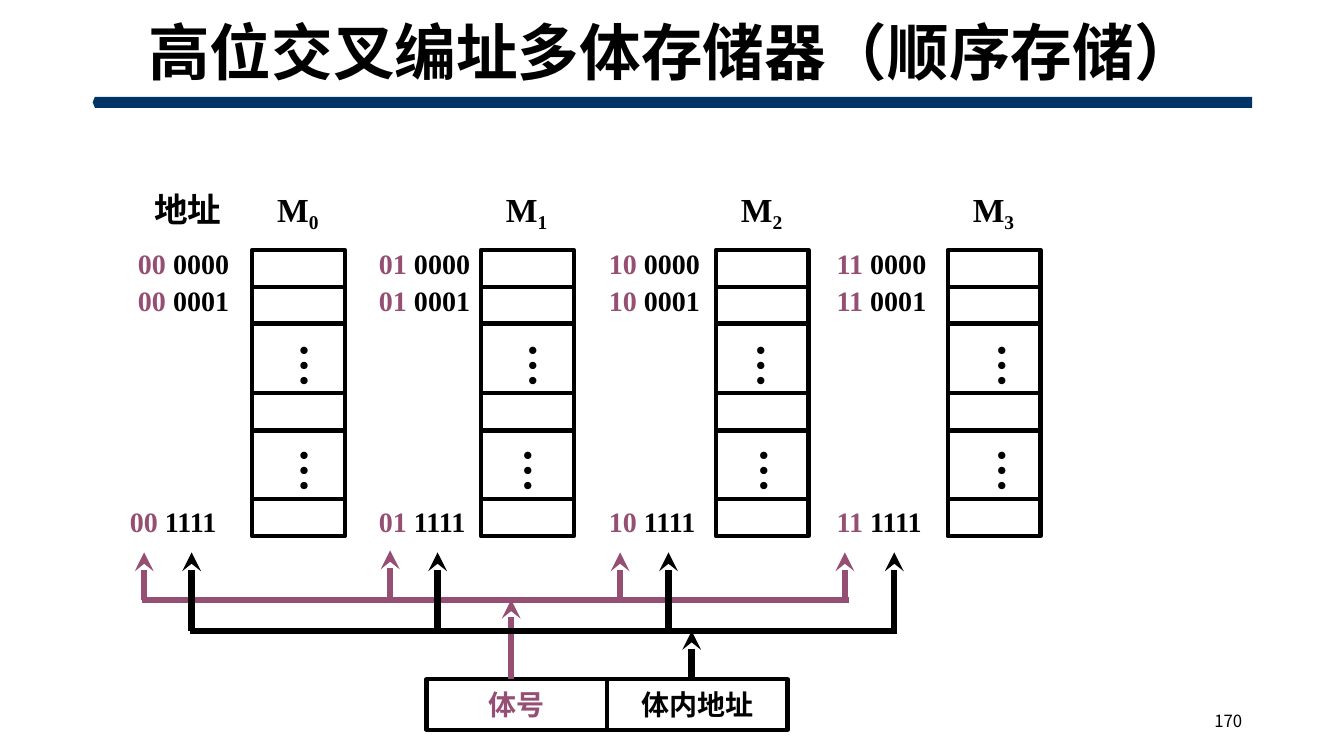
from collections import namedtuple
from dataclasses import dataclass

from lxml.etree import SubElement
from pptx import Presentation
from pptx.dml.color import RGBColor
from pptx.enum.shapes import MSO_CONNECTOR as Line, MSO_SHAPE as Shape
from pptx.enum.text import MSO_ANCHOR as Anchor, MSO_AUTO_SIZE as AutoSize, PP_ALIGN as Align
from pptx.oxml.ns import qn
from pptx.util import Pt

PX = 9144
Box = namedtuple("Box", "left top width height")
Bank = namedtuple("Bank", "tag left labels last_label dots number_tip offset_tip")


@dataclass(frozen=True)
class Theme:
    """Colours, fonts and sizes in points."""
    ink: str = "000000"
    accent: str = "954F72"
    bar: str = "003366"
    latin: str = "Times New Roman"
    cjk: str = "Noto Sans CJK SC"
    title: int = 44
    dots: int = 32
    heading: int = 24
    label: int = 20
    page: int = 12
    border: float = 3
    bus: float = 4.5


THEME = Theme()
ROW_HEIGHTS = (37, 36, 69, 37, 68, 37)
ADDRESSES = (("0000", -8), ("0001", 28), ("1111", 248))
BANKS = (
    Bank("00", 250, 127, 119, (275, 275), (143, 548), 190),
    Bank("01", 477, 366, 366, (502, 497), (387, 546), 434),
    Bank("10", 710, 594, 594, (728, 731), (615, 548), 663),
    Bank("11", 940, 820, 820, (967, 967), (838, 548), 887),
)


def scaled(*lengths):
    """Turn px into EMU."""
    return [length * PX for length in lengths]


def write(para, text, size=THEME.label, color=THEME.ink, bold=True, font=THEME.latin, baseline=0):
    """Append one formatted span to a paragraph."""
    span = para.add_run()
    span.text = text
    span.font.size = Pt(size)
    span.font.bold = bold
    span.font.color.rgb = RGBColor.from_string(color)
    span.font.name = font
    props = span._r.get_or_add_rPr()
    SubElement(props, qn("a:ea")).set("typeface", THEME.cjk)
    if baseline:
        props.set("baseline", str(baseline * 1000))


def add_text_box(page, box, wrap=False, vertical=False):
    """Add a text box that fits its text and return its paragraph."""
    frame = page.shapes.add_textbox(*scaled(*box)).text_frame
    frame.word_wrap = wrap
    frame.auto_size = AutoSize.SHAPE_TO_FIT_TEXT
    if vertical:
        frame._txBody.bodyPr.set("vert", "eaVert")
    return frame.paragraphs[0]


def add_cell(page, box):
    """Add an unfilled, black-bordered rectangle."""
    cell = page.shapes.add_shape(Shape.RECTANGLE, *scaled(*box))
    cell.shadow.inherit = False
    cell.fill.background()
    cell.line.color.rgb = RGBColor.from_string(THEME.ink)
    cell.line.width = Pt(THEME.border)
    return cell


def add_line(page, start, end, color, arrow=False):
    """Add a bus line, with an arrowhead at its start if asked."""
    line = page.shapes.add_connector(Line.STRAIGHT, *scaled(*start, *end))
    line.line.color.rgb = RGBColor.from_string(color)
    line.line.width = Pt(THEME.bus)
    if arrow:
        SubElement(line.line._get_or_add_ln(), qn("a:headEnd")).set("type", "stealth")
    SubElement(line._element.spPr, qn("a:effectLst"))


def add_header(page, box):
    """Place the title with the bar under it."""
    bar = page.shapes.add_shape(
        Shape.PENTAGON, *scaled(box.left, box.top + box.height, box.width, 11))
    bar.adjustments[0] = 0.2
    bar._element.spPr.find(qn("a:xfrm")).set("flipH", "1")
    bar.shadow.inherit = False
    bar.fill.solid()
    bar.fill.fore_color.rgb = RGBColor.from_string(THEME.bar)
    bar.line.fill.background()
    title = page.shapes.title
    title.left, title.top, title.width, title.height = scaled(*box)
    frame = title.text_frame
    frame.auto_size = AutoSize.NONE
    frame.word_wrap = True
    frame.vertical_anchor = Anchor.MIDDLE
    para = frame.paragraphs[0]
    para.alignment = Align.CENTER
    para.line_spacing = 0.9
    write(para, "高位交叉编址多体存储器（顺序存储）", size=THEME.title)


def add_bank(page, box, index, bank):
    """Draw one memory bank with its name, cells, dots and addresses."""
    name = add_text_box(page, Box(box.left + 15, box.top - 65, 63, 50))
    write(name, "M", size=THEME.heading)
    write(name, str(index), size=THEME.heading, baseline=-20)
    top = box.top
    for height in ROW_HEIGHTS:
        add_cell(page, Box(box.left, top, box.width, height))
        top += height
    for left, offset in zip(bank.dots, (83, 187)):
        dots = add_text_box(page, Box(left, box.top + offset, 73, 55), vertical=True)
        write(dots, "…", size=THEME.dots)
    lefts = (bank.labels, bank.labels, bank.last_label)
    for left, (word, offset) in zip(lefts, ADDRESSES):
        address = add_text_box(page, Box(left, box.top + offset, 115, 43), wrap=True)
        write(address, bank.tag, color=THEME.accent)
        write(address, f" {word}")


def add_bus(page, box, tips, source, color):
    """Draw a bus along the box bottom, arrows to the tips and its feed."""
    bottom = box.top + box.height
    add_line(page, (box.left, bottom), (box.left + box.width, bottom), color)
    for tip in tips:
        add_line(page, tip, (tip[0], bottom), color, arrow=True)
    add_line(page, (source[0], bottom), source, color, arrow=True)


def add_address_fields(page, box):
    """Draw the bank-number and in-bank address fields."""
    width = box.width // 2
    fields = (("体号", THEME.accent), ("体内地址", THEME.ink))
    for column, (text, color) in enumerate(fields):
        cell = add_cell(page, Box(box.left + column * width, box.top, width, box.height))
        cell.text_frame.vertical_anchor = Anchor.MIDDLE
        para = cell.text_frame.paragraphs[0]
        para.alignment = Align.CENTER
        write(para, text, color=color)


def add_page_number(page, box):
    """Place the page number at the right of its box."""
    para = add_text_box(page, box, wrap=True)
    frame = page.shapes[-1].text_frame
    frame.auto_size = AutoSize.NONE
    frame.vertical_anchor = Anchor.MIDDLE
    para.alignment = Align.RIGHT
    write(para, "170", size=THEME.page, bold=False, font=THEME.cjk)


def main():
    """Build and save the deck."""
    deck = Presentation()
    deck.slide_width, deck.slide_height = scaled(1333, 750)
    page = deck.slides.add_slide(deck.slide_layouts[5])
    add_header(page, Box(92, 14, 1150, 82))
    add_page_number(page, Box(942, 695, 300, 40))
    write(add_text_box(page, Box(143, 183, 87, 50)), "地址", size=THEME.heading)
    for index, bank in enumerate(BANKS):
        add_bank(page, Box(bank.left, 248, 92, sum(ROW_HEIGHTS)), index, bank)
    add_address_fields(page, Box(423, 674, 358, 50))
    add_bus(page, Box(141, 548, 701, 47), [bank.number_tip for bank in BANKS],
            (507, 674), THEME.accent)
    add_bus(page, Box(188, 548, 702, 78), [(bank.offset_tip, 548) for bank in BANKS],
            (686, 674), THEME.ink)
    deck.save("out.pptx")


if __name__ == "__main__":
    main()
